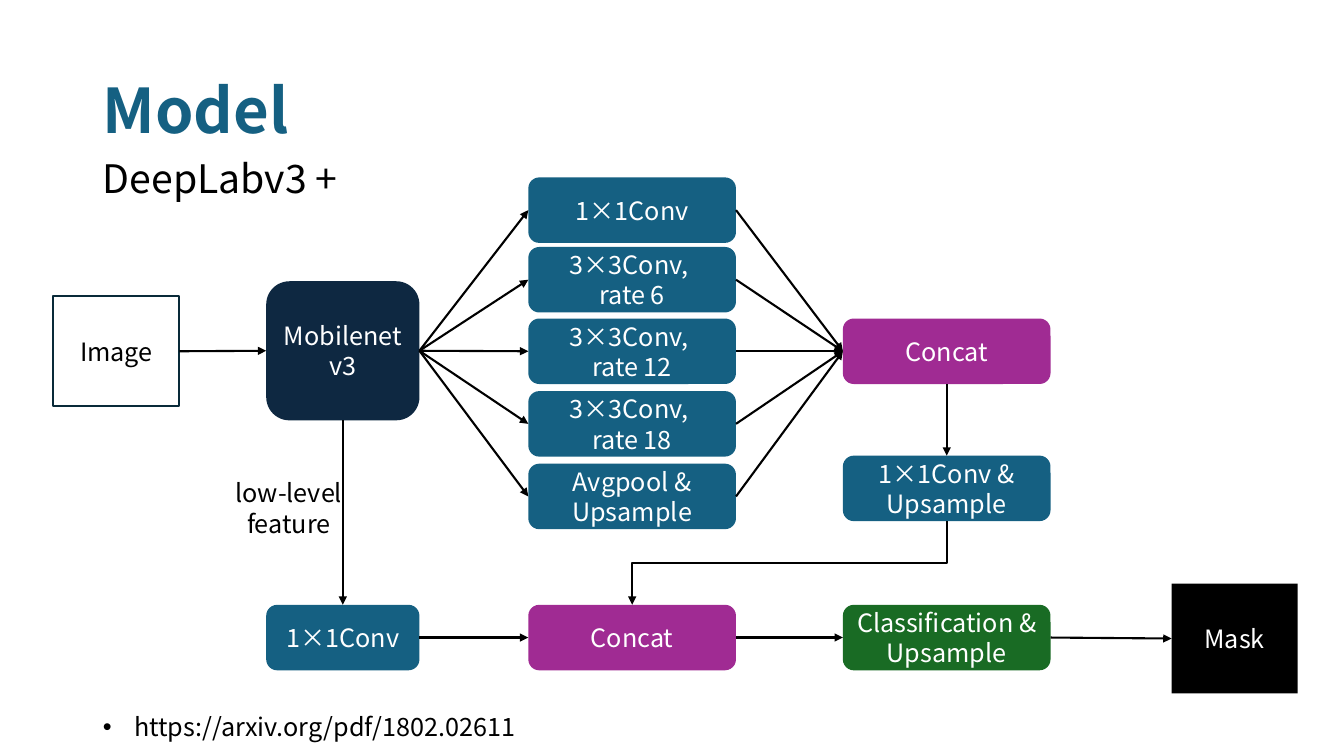
from dataclasses import dataclass

from lxml import etree
from pptx import Presentation
from pptx import util as u
from pptx.dml.color import RGBColor
from pptx.enum import shapes, text
from pptx.oxml import ns


@dataclass(frozen=True)
class Theme:
    font: str = "Noto Sans CJK KR"
    teal: str = "156082"
    navy: str = "0E2841"
    purple: str = "A02B93"
    green: str = "196B24"
    black: str = "000000"
    white: str = "FFFFFF"
    outline: str = "092A39"
    title_size: int = 44
    subtitle_size: int = 28
    text_size: int = 18
    line_width: float = 1.5


THEME = Theme()
RECT = shapes.MSO_SHAPE.RECTANGLE
ROUNDED = shapes.MSO_SHAPE.ROUNDED_RECTANGLE
TOP, LEFT, BOTTOM, RIGHT = range(4)  # connection sites of a box

# Columns and rows of the diagram, in inches
BACKBONE_X, PYRAMID_X, HEAD_X = 2.64, 5.24, 8.36
NARROW, WIDE, ROW_HEIGHT = 1.52, 2.06, 0.65
DECODER_Y = 6
PYRAMID = [
    (1.76, "1×1Conv"),
    (2.45, "3×3Conv, \nrate 6"),
    (3.16, "3×3Conv, \nrate 12"),
    (3.88, "3×3Conv, \nrate 18"),
    (4.6, "Avgpool & Upsample"),
]


def rgb(value):
    return RGBColor.from_string(value)


def add_xml(parent, tag, **attributes):
    return etree.SubElement(parent, ns.qn(tag), attributes)


def write(shape, wording, color, size=THEME.text_size, bold=False,
          bullet=None, frame_format=None, **para_format):
    """Fill a shape with text, one paragraph for each line."""
    frame = shape.text_frame
    for name, value in (frame_format or {}).items():
        setattr(frame, name, value)
    frame.text = wording
    for para in frame.paragraphs:
        for name, value in para_format.items():
            setattr(para, name, value)
        if bullet is not None:
            set_bullet(para, bullet)
        for span in para.runs:
            font_format = {"name": THEME.font, "size": u.Pt(size), "bold": bold}
            for name, value in font_format.items():
                setattr(span.font, name, value)
            span.font.color.rgb = rgb(color)
            add_xml(span.font._element, "a:ea", typeface=THEME.font)


def set_bullet(para, mark):
    """Hang the paragraph on a bullet, or clear the bullet if mark is empty."""
    props = para._p.get_or_add_pPr()
    hang = u.Inches(0.31) if mark else 0
    props.set("marL", str(hang))
    props.set("indent", str(-hang))
    if mark:
        add_xml(props, "a:buFont", typeface="Arial")
        add_xml(props, "a:buChar", char=mark)
    else:
        add_xml(props, "a:buNone")


def place(shape, left, top, width, height):
    bounds = {"left": left, "top": top, "width": width, "height": height}
    for name, value in bounds.items():
        setattr(shape, name, u.Inches(value))
    return shape


def add_box(page, wording, left, top, width=WIDE, height=ROW_HEIGHT,
            fill=THEME.teal, kind=ROUNDED, line=None, color=THEME.white):
    box = page.shapes.add_shape(kind, *map(u.Inches, (left, top, width, height)))
    box.shadow.inherit = False
    if fill:
        box.fill.solid()
        box.fill.fore_color.rgb = rgb(fill)
    else:
        box.fill.background()
    if line:
        box.line.color.rgb = rgb(line)
        box.line.width = u.Pt(THEME.line_width)
    else:
        box.line.fill.background()
    write(box, wording, color, alignment=text.PP_ALIGN.CENTER,
          frame_format={"word_wrap": True,
                        "vertical_anchor": text.MSO_ANCHOR.MIDDLE})
    return box


def add_arrow(page, start, end, sites=(RIGHT, LEFT),
              kind=shapes.MSO_CONNECTOR.STRAIGHT):
    arrow = page.shapes.add_connector(kind, 0, 0, 0, 0)
    arrow.begin_connect(start, sites[0])
    arrow.end_connect(end, sites[1])
    arrow.line.color.rgb = rgb(THEME.black)
    arrow.line.width = u.Pt(THEME.line_width)
    add_xml(arrow.line._get_or_add_ln(), "a:tailEnd", type="triangle")
    add_xml(arrow._element.spPr, "a:effectLst")
    return arrow


def add_elbow_down(page, start, end):
    """Elbow that leaves downwards: a quarter turn of the usual elbow."""
    arrow = add_arrow(page, start, end, (BOTTOM, TOP), shapes.MSO_CONNECTOR.ELBOW)
    across, down = arrow.width, arrow.height
    shift = (across - down) // 2
    arrow.left, arrow.top = arrow.left + shift, arrow.top - shift
    arrow.width, arrow.height = down, across
    frame = arrow._element.spPr.xfrm
    frame.flipH, frame.rot = False, 90


def add_headings(page):
    title, subtitle, link = page.placeholders
    plain = {"word_wrap": True, "auto_size": text.MSO_AUTO_SIZE.NONE,
             "vertical_anchor": text.MSO_ANCHOR.TOP}
    flush = {"alignment": text.PP_ALIGN.LEFT, "space_before": u.Pt(0)}
    write(place(title, 0.92, 0.4, 11.5, 1.45), "Model", THEME.teal,
          THEME.title_size, bold=True, line_spacing=0.9,
          frame_format=plain | {"vertical_anchor": text.MSO_ANCHOR.MIDDLE}, **flush)
    write(place(subtitle, 0.92, 1.57, 11.5, 0.52), "DeepLabv3 +", THEME.black,
          THEME.subtitle_size, bullet="", line_spacing=0.8,
          frame_format=plain, **flush)
    write(place(link, 0.92, 7.01, 6.67, 0.4), "https://arxiv.org/pdf/1802.02611",
          THEME.black, bullet="•", frame_format=plain, **flush)


def add_network(page):
    # Encoder
    image = add_box(page, "Image", 0.53, 2.94, 1.25, 1.09, fill=None,
                    kind=RECT, line=THEME.outline, color=THEME.black)
    backbone = add_box(page, "Mobilenetv3", BACKBONE_X, 2.79, NARROW, 1.38,
                       fill=THEME.navy)
    pyramid = [add_box(page, wording, PYRAMID_X, top) for top, wording in PYRAMID]
    merge = add_box(page, "Concat", HEAD_X, 3.16, fill=THEME.purple)
    upsample = add_box(page, "1×1Conv & Upsample", HEAD_X, 4.52)

    # Decoder
    reduce = add_box(page, "1×1Conv", BACKBONE_X, DECODER_Y, NARROW)
    join = add_box(page, "Concat", PYRAMID_X, DECODER_Y, fill=THEME.purple)
    classify = add_box(page, "Classification & Upsample", HEAD_X, DECODER_Y,
                       fill=THEME.green)
    mask = add_box(page, "Mask", 11.62, 5.79, 1.25, 1.09, fill=THEME.black,
                   kind=RECT)

    # Arrows
    for branch in pyramid:
        add_arrow(page, backbone, branch)
        add_arrow(page, branch, merge)
    for start, end in [(image, backbone), (reduce, join), (join, classify),
                       (classify, mask)]:
        add_arrow(page, start, end)
    for start, end in [(merge, upsample), (backbone, reduce)]:
        add_arrow(page, start, end, (BOTTOM, TOP))
    add_elbow_down(page, upsample, join)

    # Label of the skip connection
    label = page.shapes.add_textbox(*map(u.Inches, (2.21, 4.69, 1.31, 0.71)))
    write(label, "low-level \nfeature", THEME.black,
          alignment=text.PP_ALIGN.CENTER, frame_format={"word_wrap": False})


def main():
    deck = Presentation()
    deck.slide_width, deck.slide_height = u.Inches(13.33), u.Inches(7.5)
    page = deck.slides.add_slide(deck.slide_layouts.get_by_name("Two Content"))
    add_headings(page)
    add_network(page)
    deck.save("out.pptx")


if __name__ == "__main__":
    main()
